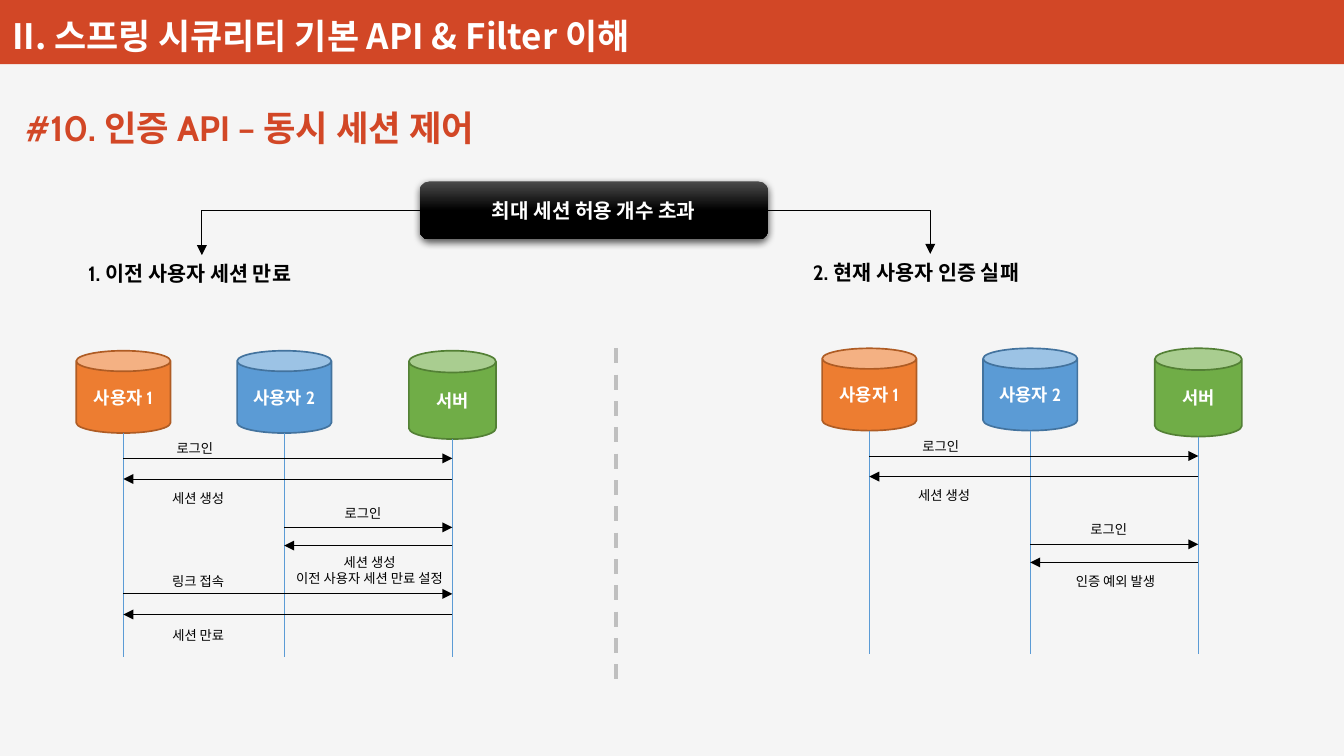
from lxml import etree
from pptx import Presentation
from pptx.dml.color import RGBColor
from pptx.enum.dml import MSO_LINE
from pptx.enum.shapes import MSO_CONNECTOR, MSO_SHAPE
from pptx.enum.text import MSO_ANCHOR, MSO_AUTO_SIZE, PP_ALIGN
from pptx.oxml.ns import qn
from pptx.util import Inches, Pt

RECT, CAN, ROUNDED = MSO_SHAPE.RECTANGLE, MSO_SHAPE.CAN, MSO_SHAPE.ROUNDED_RECTANGLE
STRAIGHT, ELBOW = MSO_CONNECTOR.STRAIGHT, MSO_CONNECTOR.ELBOW
LEFT, CENTER = PP_ALIGN.LEFT, PP_ALIGN.CENTER
TOP, MIDDLE, BOTTOM = MSO_ANCHOR.TOP, MSO_ANCHOR.MIDDLE, MSO_ANCHOR.BOTTOM
FIT, DASH = MSO_AUTO_SIZE.SHAPE_TO_FIT_TEXT, MSO_LINE.DASH

WHITE = RGBColor(0xFF, 0xFF, 0xFF)
BLACK = RGBColor(0x00, 0x00, 0x00)
CHARCOAL = RGBColor(0x4B, 0x4B, 0x4B)
PAPER = RGBColor(0xF5, 0xF5, 0xF5)
SILVER = RGBColor(0xBF, 0xBF, 0xBF)
BRICK = RGBColor(0xD2, 0x47, 0x26)
ORANGE = RGBColor(0xED, 0x7D, 0x31)
ORANGE_EDGE = RGBColor(0xAF, 0x5C, 0x24)
BLUE = RGBColor(0x5B, 0x9B, 0xD5)
BLUE_EDGE = RGBColor(0x43, 0x73, 0x9E)
GREEN = RGBColor(0x70, 0xAD, 0x47)
GREEN_EDGE = RGBColor(0x53, 0x80, 0x35)

USER1, USER2, SERVER = 9.18, 21.15, 33.66
CAN_TOP, LIFE_END = 46.4, 86.88
ACTORS = [
    ("사용자 1", USER1, 7.02, 10.88, ORANGE, ORANGE_EDGE),
    ("사용자 2", USER2, 7.02, 10.88, BLUE, BLUE_EDGE),
    ("서버", SERVER, 6.48, 11.68, GREEN, GREEN_EDGE),
]
FIRST_LOGIN = [
    (USER1, SERVER, 60.64, "로그인", 14.5, 57.44, 5.76),
    (SERVER, USER1, 63.36, "세션 생성", 14.75, 64, 8.1),
]
EXPIRE_PREVIOUS = FIRST_LOGIN + [
    (USER2, SERVER, 69.76, "로그인", 27, 66.08, 5.76),
    (SERVER, USER2, 72.16, "세션 생성\n이전 사용자 세션 만료 설정", 27.5, 72.48, 14.31),
    (USER1, SERVER, 78.56, "링크 접속", 14.75, 75.04, 7.11),
    (SERVER, USER1, 81.28, "세션 만료", 14.75, 82.24, 7.65),
]
REJECT_CURRENT = FIRST_LOGIN + [
    (USER2, SERVER, 72.32, "로그인", 27, 68.48, 5.76),
    (SERVER, USER2, 74.72, "인증 예외 발생", 27.5, 75.36, 9.27),
]


class Deck:
    """Slide styling and drawing, with lengths in percent of the slide's size."""

    def __init__(self, prs, font, korean):
        self.prs, self.font, self.korean = prs, font, korean
        self.s = prs.slides.add_slide(prs.slide_layouts[5])
        self.s.background.fill.solid()
        self.s.background.fill.fore_color.rgb = PAPER

    def x(self, share):
        return round(self.prs.slide_width * share / 100)

    def y(self, share):
        return round(self.prs.slide_height * share / 100)

    def box(self, x, y, w, h):
        return self.x(x), self.y(y), self.x(w), self.y(h)

    def label(self, sp, text, size, color, bold=True, align=CENTER, anchor=MIDDLE, font=None):
        tf = sp.text_frame
        tf.text = text
        tf.vertical_anchor = anchor
        for p in tf.paragraphs:
            p.alignment = align
            for r in p.runs:
                r.font.size, r.font.bold = Pt(size), bold
                r.font.color.rgb = color
                r.font.name = font or self.font
                ea = etree.SubElement(r.font._element, qn("a:ea"))
                ea.set("typeface", self.korean)
        return tf

    def title(self, text, x, y, w, h):
        sp = self.s.shapes.title
        sp.left, sp.top, sp.width, sp.height = self.box(x, y, w, h)
        tf = self.label(sp, text, 21, BRICK, align=LEFT, anchor=TOP)
        tf.word_wrap, tf.auto_size = False, FIT

    def text(self, text, x, y, w, h, size, color=BLACK, wrap=True, fit=FIT, **style):
        sp = self.s.shapes.add_textbox(*self.box(x, y, w, h))
        tf = self.label(sp, text, size, color, **style)
        tf.word_wrap, tf.auto_size = wrap, fit
        return tf

    def shape(self, kind, x, y, w, h, fill, edge=None):
        sp = self.s.shapes.add_shape(kind, *self.box(x, y, w, h))
        sp.shadow.inherit = False
        sp.fill.solid()
        sp.fill.fore_color.rgb = fill
        if edge is None:
            sp.line.fill.background()
        else:
            sp.line.color.rgb, sp.line.width = edge, Pt(1)
        return sp

    def banner(self, text):
        self.shape(RECT, 0, 0, 100, 8.48, BRICK)
        tf = self.text(text, 0.09, -1.6, 55.54, 9.76, 20.8, WHITE, fit=None,
                       align=LEFT, anchor=BOTTOM, font=self.korean)
        tf.margin_left = tf.margin_right = Inches(0.09)
        tf.margin_top = tf.margin_bottom = Inches(0.04)

    def condition(self, text, x, y, w, h):
        sp = self.shape(ROUNDED, x, y, w, h, BLACK)
        sp.fill.gradient()
        sp.fill.gradient_angle = 270
        for stop, color, place in zip(sp.fill.gradient_stops, (CHARCOAL, BLACK), (0, 0.5)):
            stop.color.rgb, stop.position = color, place
        effects = sp._element.spPr.find(qn("a:effectLst"))
        shadow = etree.SubElement(effects, qn("a:outerShdw"), blurRad=str(Pt(4.5)),
                                  dist=str(Pt(1.5)), dir="5400000", rotWithShape="0")
        tint = etree.SubElement(shadow, qn("a:srgbClr"), val=str(BLACK))
        etree.SubElement(tint, qn("a:alpha"), val="63000")
        self.label(sp, text, 12, WHITE)

    def line(self, x1, y1, x2, y2, color=BLACK, width=0.5, kind=STRAIGHT, arrow=False, dash=None):
        c = self.s.shapes.add_connector(kind, self.x(x1), self.y(y1), self.x(x2), self.y(y2))
        c.line.color.rgb, c.line.width = color, Pt(width)
        if dash:
            c.line.dash_style = dash
        spPr = c._element.spPr
        if kind == ELBOW:
            spPr.find(qn("a:prstGeom")).set("prst", "bentConnector2")
        if arrow:
            etree.SubElement(spPr.find(qn("a:ln")), qn("a:tailEnd"), type="triangle")
        etree.SubElement(spPr, qn("a:effectLst"))

    def sequence(self, messages, dx=0, dy=0):
        for name, x, w, h, fill, edge in ACTORS:
            sp = self.shape(CAN, x + dx - w / 2, CAN_TOP + dy, w, h, fill, edge)
            self.label(sp, name, 10.5, WHITE)
            self.line(x + dx, CAN_TOP + h + dy, x + dx, LIFE_END + dy, BLUE)
        for start, end, y, note, x, top, w in messages:
            self.line(start + dx, y + dy, end + dx, y + dy, arrow=True)
            h = 5.92 if "\n" in note else 3.68
            self.text(note, x + dx - w / 2, top + dy, w, h, 7.9, bold=False, anchor=TOP)


def main():
    prs = Presentation()
    prs.slide_width, prs.slide_height = Inches(11.11), Inches(6.25)
    deck = Deck(prs, "Cabin", "Noto Sans CJK KR")
    deck.banner("II. 스프링 시큐리티 기본 API & Filter 이해")
    deck.title("#10. 인증 API – 동시 세션 제어", 0.99, 13.28, 38.43, 7.2)

    deck.sequence(EXPIRE_PREVIOUS)
    deck.sequence(REJECT_CURRENT, 55.5, -0.32)
    deck.line(45.81, 46.08, 45.81, 91.04, SILVER, 2.25, dash=DASH)

    x, y, w, h = 31.23, 24, 25.92, 7.68
    deck.condition("최대 세션 허용 개수 초과", x, y, w, h)
    outcomes = [
        ("1. 이전 사용자 세션 만료", 5.67, 33.76, 18.72, x, 15.03),
        ("2. 현재 사용자 인증 실패", 59.59, 33.6, 19.17, x + w, 69.22),
    ]
    for text, left, top, width, start, end in outcomes:
        deck.text(text, left, top, width, 4.96, 12.3, wrap=False, align=LEFT, anchor=TOP)
        deck.line(start, y + h / 2, end, top, kind=ELBOW, arrow=True)
    prs.save("out.pptx")


if __name__ == "__main__":
    main()
